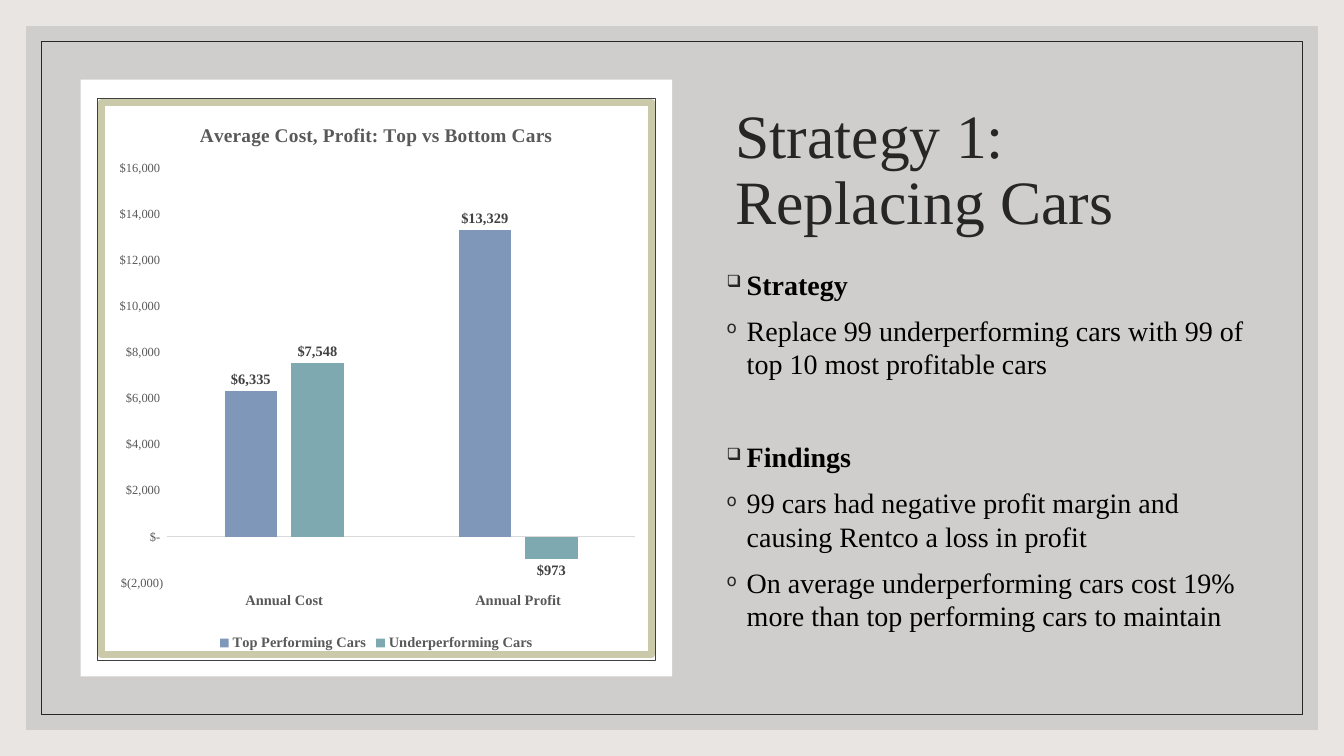
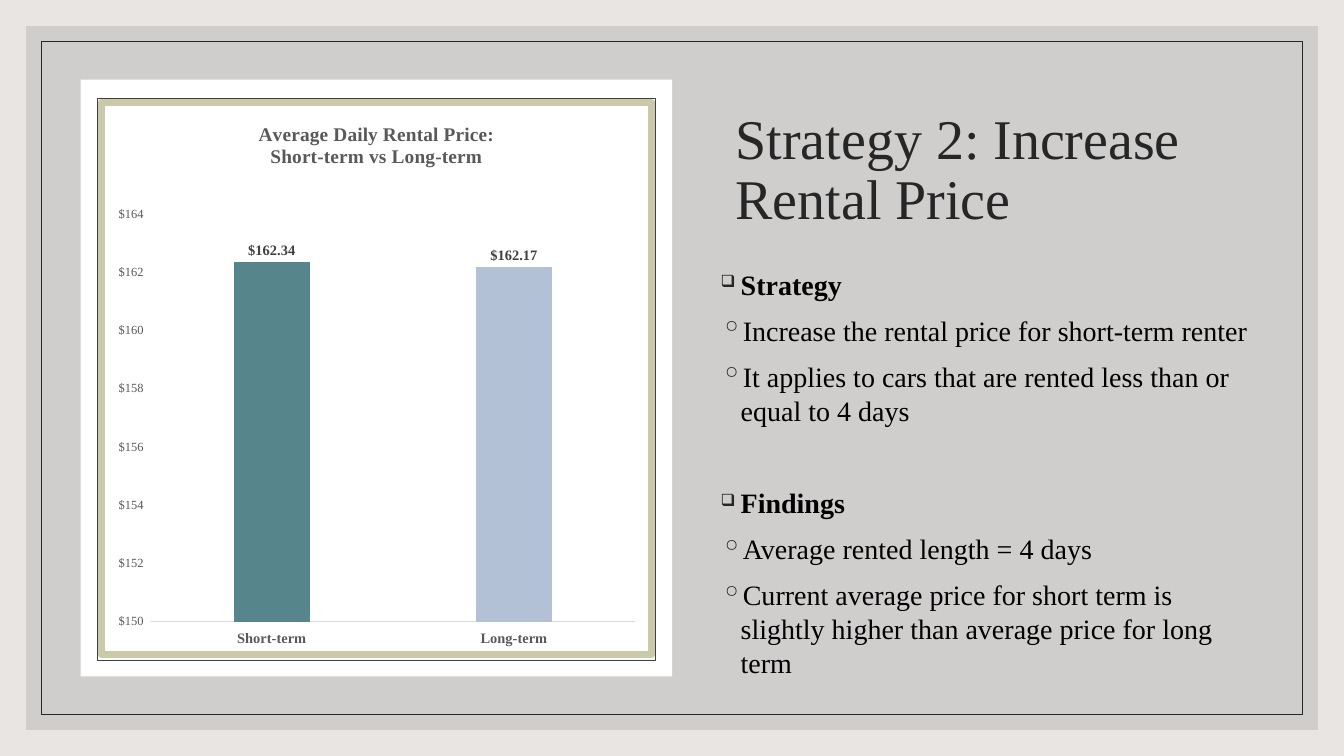
import pptx
import pptx.chart.data
import pptx.dml.color
import pptx.enum.chart
import pptx.enum.shapes
import pptx.enum.text
import pptx.oxml
import pptx.oxml.ns
import pptx.util
from lxml import etree

Pt = pptx.util.Pt
RGBColor = pptx.dml.color.RGBColor
qn = pptx.oxml.ns.qn

BACKDROP = RGBColor(0xE8, 0xE5, 0xE2)
BAND = RGBColor(0xBF, 0xBF, 0xBF)
INK = RGBColor(0x26, 0x26, 0x26)
BLACK = RGBColor(0x00, 0x00, 0x00)
WHITE = RGBColor(0xFF, 0xFF, 0xFF)
CARD_LINE = RGBColor(0x40, 0x40, 0x40)
CHART_TEXT = RGBColor(0x59, 0x59, 0x59)
AXIS_LINE = RGBColor(0xD9, 0xD9, 0xD9)
CHART_BORDER = RGBColor(0xCA, 0xCA, 0xAA)
BLUE = RGBColor(0x7F, 0x98, 0xBA)
TEAL = RGBColor(0x7E, 0xA9, 0xB0)
DARK_TEAL = RGBColor(0x56, 0x85, 0x8C)
PALE_BLUE = RGBColor(0xB2, 0xC1, 0xD6)

FONT = "Times New Roman"
WIDTH, HEIGHT = 960, 540
INDENT = 14.4
ACCOUNTING = r'_("$"* #,##0_);_("$"* \(#,##0\);_("$"* "-"_);_(@_)'
WHOLE_DOLLARS = '"$"#,##0;"$"#,##0'
CENTS = '"$"#,##0.00'


class Deck:
    def __init__(self):
        self.prs = pptx.Presentation()
        self.prs.slide_width = Pt(WIDTH)
        self.prs.slide_height = Pt(HEIGHT)
        self.s = None

    def font(self, font, size, color, bold=False):
        font.name = FONT
        font.size = Pt(size)
        font.bold = bold
        font.color.rgb = color

    def rect(self, x, y, w, h, fill=None, line=None, alpha=None):
        sp = self.s.shapes.add_shape(
            pptx.enum.shapes.MSO_SHAPE.RECTANGLE, Pt(x), Pt(y), Pt(w), Pt(h))
        sp.shadow.inherit = False
        if fill is None:
            sp.fill.background()
        else:
            sp.fill.solid()
            sp.fill.fore_color.rgb = fill
        if alpha is not None:
            clr = sp.fill._xPr.find(".//" + qn("a:srgbClr"))
            etree.SubElement(clr, qn("a:alpha")).set("val", str(alpha * 1000))
        if line is None:
            sp.line.fill.background()
        else:
            sp.line.color.rgb = line
            sp.line.width = Pt(0.5)

    def inset(self, gap, **style):
        self.rect(gap, gap, WIDTH - 2 * gap, HEIGHT - 2 * gap, **style)

    def slide(self):
        self.s = self.prs.slides.add_slide(self.prs.slide_layouts[6])
        self.s.background.fill.solid()
        self.s.background.fill.fore_color.rgb = BACKDROP
        self.inset(18.7, fill=BAND, alpha=60)
        self.inset(29.4, line=INK)
        self.rect(57.6, 56.9, 422.6, 426.2, fill=WHITE)
        self.rect(69.8, 70.6, 398.2, 401, line=CARD_LINE)

    def textbox(self, x, y, w, h):
        tf = self.s.shapes.add_textbox(Pt(x), Pt(y), Pt(w), Pt(h)).text_frame
        tf.word_wrap = True
        return tf

    def run(self, p, text, size, color, bold=False):
        r = p.add_run()
        r.text = text
        self.font(r.font, size, color, bold)

    def title(self, text, size):
        tf = self.textbox(518.4, 57.6, 390.2, 129.6)
        tf.vertical_anchor = pptx.enum.text.MSO_ANCHOR.MIDDLE
        p = tf.paragraphs[0]
        p.line_spacing = 0.9
        self.run(p, text, size, INK)

    def bullet(self, p, char, percent):
        pPr = p._p.get_or_add_pPr()
        pPr.set("marL", str(Pt(INDENT)))
        pPr.set("indent", str(-Pt(INDENT)))
        clr = etree.SubElement(pPr, qn("a:buClr"))
        etree.SubElement(clr, qn("a:srgbClr")).set("val", str(INK))
        etree.SubElement(pPr, qn("a:buSzPct")).set("val", str(percent * 1000))
        etree.SubElement(pPr, qn("a:buChar")).set("char", char)

    def body(self, x, sections, char, percent):
        tf = self.textbox(x, 187.2, 908.6 - x, 288)
        p = tf.paragraphs[0]
        for i, (heading, points) in enumerate(sections):
            if i:
                p = tf.add_paragraph()
            p.space_before = Pt(42 if i else 9)
            self.bullet(p, "❑", 60)
            self.run(p, heading, 20, BLACK, True)
            for point in points:
                p = tf.add_paragraph()
                p.space_before = Pt(9)
                self.bullet(p, char, percent)
                self.run(p, point, 20, BLACK)

    def chart(self, title_lines, cats, series, scale, layout):
        data = pptx.chart.data.CategoryChartData()
        data.categories = cats
        for name, values, _, _ in series:
            data.add_series(name, values)
        chart = self.s.shapes.add_chart(
            pptx.enum.chart.XL_CHART_TYPE.COLUMN_CLUSTERED,
            Pt(69.8), Pt(70.6), Pt(398.2), Pt(399.6), data).chart
        self.font(chart.font, 10, BLACK)
        chart.has_title = True
        tf = chart.chart_title.text_frame
        for i, line in enumerate(title_lines):
            p = tf.add_paragraph() if i else tf.paragraphs[0]
            self.run(p, line, 14, CHART_TEXT, True)

        plot = chart.plots[0]
        plot.gap_width = 219
        plot.overlap = -27
        plot.vary_by_categories = False
        for ser, (_, _, colors, number_format) in zip(plot.series, series):
            ser.invert_if_negative = False
            ser.format.fill.solid()
            ser.format.fill.fore_color.rgb = colors[-1]
            for i, color in enumerate(colors[:-1]):
                fill = ser.points[i].format.fill
                fill.solid()
                fill.fore_color.rgb = color
            labels = ser.data_labels
            labels.show_value = True
            labels.position = pptx.enum.chart.XL_LABEL_POSITION.OUTSIDE_END
            labels.number_format = number_format
            labels.number_format_is_linked = False
            self.font(labels.font, 10.5, CARD_LINE, True)

        chart.has_legend = len(series) > 1
        if chart.has_legend:
            chart.legend.position = pptx.enum.chart.XL_LEGEND_POSITION.BOTTOM
            chart.legend.include_in_layout = False
            self.font(chart.legend.font, 10.5, CHART_TEXT, True)
        self.axes(chart, scale)
        self.plot_layout(chart, layout)
        self.chart_frame(chart)

    def axes(self, chart, scale):
        cat, val = chart.category_axis, chart.value_axis
        for axis in (cat, val):
            axis.has_major_gridlines = False
            axis.major_tick_mark = pptx.enum.chart.XL_TICK_MARK.NONE
            axis.minor_tick_mark = pptx.enum.chart.XL_TICK_MARK.NONE
        cat.tick_label_position = pptx.enum.chart.XL_TICK_LABEL_POSITION.LOW
        cat.format.line.color.rgb = AXIS_LINE
        cat.format.line.width = Pt(0.75)
        self.font(cat.tick_labels.font, 10.5, CHART_TEXT, True)
        val.minimum_scale, val.maximum_scale, val.major_unit = scale
        val.format.line.fill.background()
        val.tick_labels.number_format = ACCOUNTING
        val.tick_labels.number_format_is_linked = False
        self.font(val.tick_labels.font, 9, CHART_TEXT)

    def plot_layout(self, chart, box):
        area = chart.element.find(".//" + qn("c:plotArea"))
        layout = area.find(qn("c:layout"))
        if layout is None:
            layout = etree.Element(qn("c:layout"))
            area.insert(0, layout)
        manual = etree.SubElement(layout, qn("c:manualLayout"))
        settings = [("layoutTarget", "inner"), ("xMode", "edge"), ("yMode", "edge")]
        for tag, value in settings + list(zip("xywh", box)):
            etree.SubElement(manual, qn("c:" + tag)).set("val", str(value))

    def chart_frame(self, chart):
        spPr = etree.Element(qn("c:spPr"))
        ln = etree.Element(qn("a:ln"), w=str(Pt(5)))
        for parent, color in ((spPr, WHITE), (ln, CHART_BORDER)):
            fill = etree.SubElement(parent, qn("a:solidFill"))
            etree.SubElement(fill, qn("a:srgbClr")).set("val", str(color))
        spPr.append(ln)
        chart.element.find(qn("c:txPr")).addprevious(spPr)


def main():
    deck = Deck()

    deck.slide()
    deck.title("Strategy 1: Replacing Cars", 44)
    deck.body(511.9, [
        ("Strategy", [
            "Replace 99 underperforming cars with 99 of top 10 most profitable cars"]),
        ("Findings", [
            "99 cars had negative profit margin and causing Rentco a loss in profit",
            "On average underperforming cars cost 19% more than top performing "
            "cars to maintain"]),
    ], "o", 60)
    deck.chart(
        ["Average Cost, Profit: Top vs Bottom Cars"],
        ["Annual Cost", "Annual Profit"],
        [("Top Performing Cars", (6335, 13329), [BLUE], WHOLE_DOLLARS),
         ("Underperforming Cars", (7548, -973), [TEAL], WHOLE_DOLLARS)],
        (-2000, 16000, 2000), (0.12, 0.12, 0.85, 0.75))

    deck.slide()
    deck.title("Strategy 2: Increase Rental Price", 40)
    deck.body(507.6, [
        ("Strategy", [
            "Increase the rental price for short-term renter",
            "It applies to cars that are rented less than or equal to 4 days"]),
        ("Findings", [
            "Average rented length = 4 days",
            "Current average price for short term is slightly higher than "
            "average price for long term"]),
    ], "◦", 100)
    deck.chart(
        ["Average Daily Rental Price:", "Short-term vs Long-term"],
        ["Short-term", "Long-term"],
        [("Series 1", (162.34, 162.17), [DARK_TEAL, PALE_BLUE], CENTS)],
        (150, 165, 2), (0.09, 0.15, 0.88, 0.79))

    deck.prs.save("out.pptx")


if __name__ == "__main__":
    main()
